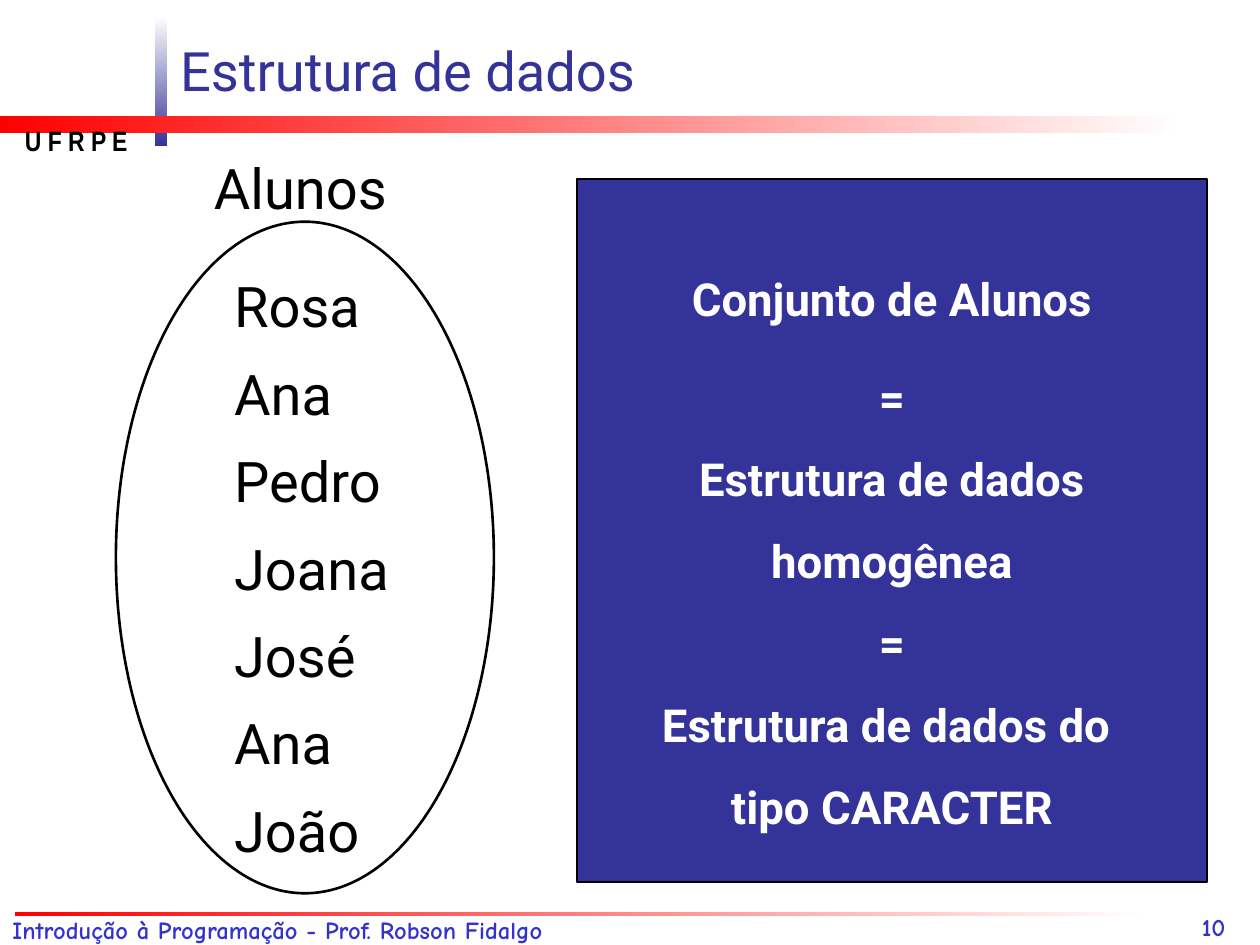
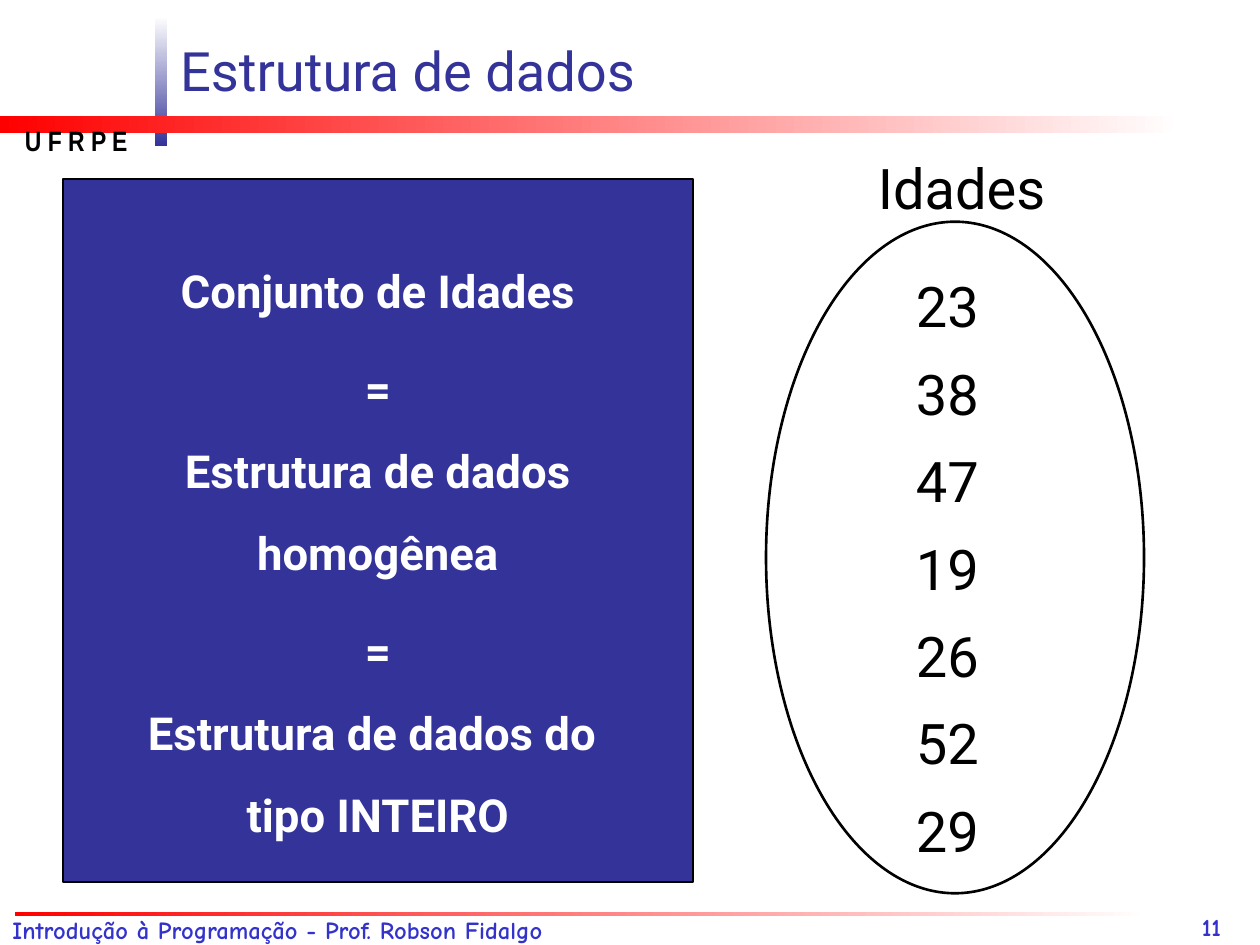
from pptx import Presentation
from pptx import util as u
from pptx.dml.color import RGBColor
from pptx.enum import shapes, text

COLUMNS, ROWS = 100, 75
CELL = u.Inches(0.1)
NAVY = RGBColor(0x33, 0x33, 0x99)
FOOTER_BLUE = RGBColor(0x33, 0x33, 0xCC)
RED = RGBColor(0xFF, 0, 0)
WHITE = RGBColor(0xFF, 0xFF, 0xFF)
BLACK = RGBColor(0, 0, 0)
BODY_FONT, FOOTER_FONT, SCHOOL_FONT = "Roboto", "Comic Neue", "Arial Narrow"
SET_TOP, SET_WIDTH, SET_HEIGHT = 17.6, 30, 53.3
RIGHT_SET = COLUMNS - SET_WIDTH - 9.2


def cells(*counts):
    """Turn counts of grid cells into lengths."""
    return [round(count * CELL) for count in counts]


def write(frame, lines, font, size, color, bold=False, spacings=None,
          align=text.PP_ALIGN.LEFT, anchor=text.MSO_ANCHOR.TOP):
    """Fill a text frame with one paragraph per line."""
    frame.word_wrap = True
    frame.auto_size = text.MSO_AUTO_SIZE.NONE
    frame.vertical_anchor = anchor
    for index, line in enumerate(lines):
        paragraph = frame.add_paragraph() if index else frame.paragraphs[0]
        paragraph.text = line
        paragraph.alignment = align
        if spacings:
            paragraph.line_spacing = spacings[index]
        paragraph.font.name = font
        paragraph.font.size = u.Pt(size)
        paragraph.font.bold = bold
        paragraph.font.color.rgb = color


def add_label(slide, area, lines, font, size, color, **style):
    """Place text at an area of the grid."""
    label = slide.shapes.add_textbox(*cells(*area))
    write(label.text_frame, lines, font, size, color, **style)


def add_band(slide, area, start, end, angle=0):
    """Draw a borderless bar that fades from one colour to another."""
    band = slide.shapes.add_shape(shapes.MSO_SHAPE.RECTANGLE, *cells(*area))
    band.shadow.inherit = False
    band.line.fill.background()
    band.fill.gradient()
    band.fill.gradient_angle = angle
    for stop, color in zip(band.fill.gradient_stops, (start, end)):
        stop.color.rgb = color


def add_outlined(slide, kind, area, line_width):
    """Draw a preset shape with a black outline."""
    outlined = slide.shapes.add_shape(kind, *cells(*area))
    outlined.shadow.inherit = False
    outlined.line.color.rgb = BLACK
    outlined.line.width = u.Pt(line_width)
    return outlined


def add_lesson_slide(deck, title, number):
    """Add a slide with the course's bands, title and footer."""
    slide = deck.slides.add_slide(deck.slide_layouts[5])
    add_band(slide, (12.3, 1.3, 1, 10.3), WHITE, NAVY, angle=270)
    add_band(slide, (0, 9.2, 93.8, 1.4), RED, WHITE)
    add_band(slide, (1.2, 72.4, 90, 0.3), RED, WHITE)
    add_label(slide, (1, 9.3, 12, 3.7), ["U F R P E"], SCHOOL_FONT, 16, BLACK, bold=True)
    add_label(slide, (0, 72.1, 62.7, 3.4), ["Introdução à Programação - Prof. Robson Fidalgo"],
              FOOTER_FONT, 14, FOOTER_BLUE, bold=True)
    add_label(slide, (94.4, 70.2, 8.3, 5), [str(number)], FOOTER_FONT, 14, FOOTER_BLUE,
              bold=True, anchor=text.MSO_ANCHOR.BOTTOM)
    heading = slide.shapes.title
    heading.left, heading.top, heading.width, heading.height = cells(13.3, 1.8, 86.7, 6.8)
    write(heading.text_frame, [title], BODY_FONT, 31, NAVY, anchor=text.MSO_ANCHOR.BOTTOM)
    return slide


def add_set(slide, left, name, name_indent, members, member_indent):
    """Draw a named set as an ellipse around its members."""
    ellipse = add_outlined(slide, shapes.MSO_SHAPE.OVAL,
                           (left, SET_TOP, SET_WIDTH, SET_HEIGHT), 1.5)
    ellipse.fill.background()
    add_label(slide, (left + name_indent, 11.7, 20, 6.4), [name], BODY_FONT, 32, BLACK)
    add_label(slide, (left + member_indent, 19.5, 18, 49.6), members, BODY_FONT, 32, BLACK,
              spacings=[1.3] * len(members))


def add_definition(slide, left, set_name, data_type, second_equals_spacing):
    """Draw the panel that equates a set with its data structure."""
    panel = add_outlined(slide, shapes.MSO_SHAPE.RECTANGLE, (left, 14.2, 50, 55.8), 0.75)
    panel.fill.solid()
    panel.fill.fore_color.rgb = NAVY
    statement = [f"Conjunto de {set_name}", "=", "Estrutura de dados\nhomogênea",
                 "=", f"Estrutura de dados do \ntipo {data_type}"]
    write(panel.text_frame, statement, BODY_FONT, 26, WHITE, bold=True,
          spacings=[1.8, 1.8, 1.5, second_equals_spacing, 1.5],
          align=text.PP_ALIGN.CENTER, anchor=text.MSO_ANCHOR.MIDDLE)


def main():
    """Build the two slides on homogeneous data structures."""
    deck = Presentation()
    deck.slide_width, deck.slide_height = cells(COLUMNS, ROWS)

    students = add_lesson_slide(deck, "Estrutura de dados", 10)
    add_set(students, 9.2, "Alunos", 6.8,
            ["Rosa", "Ana", "Pedro", "Joana", "José", "Ana", "João"], 8.4)
    add_definition(students, 45.8, "Alunos", "CARACTER", 1.5)

    ages = add_lesson_slide(deck, "Estrutura de dados", 11)
    add_set(ages, RIGHT_SET, "Idades", 7.9,
            ["23", "38", "47", "19", "26", "52", "29"], 10.9)
    add_definition(ages, 5, "Idades", "INTEIRO", 1.8)

    deck.save("out.pptx")


if __name__ == "__main__":
    main()
